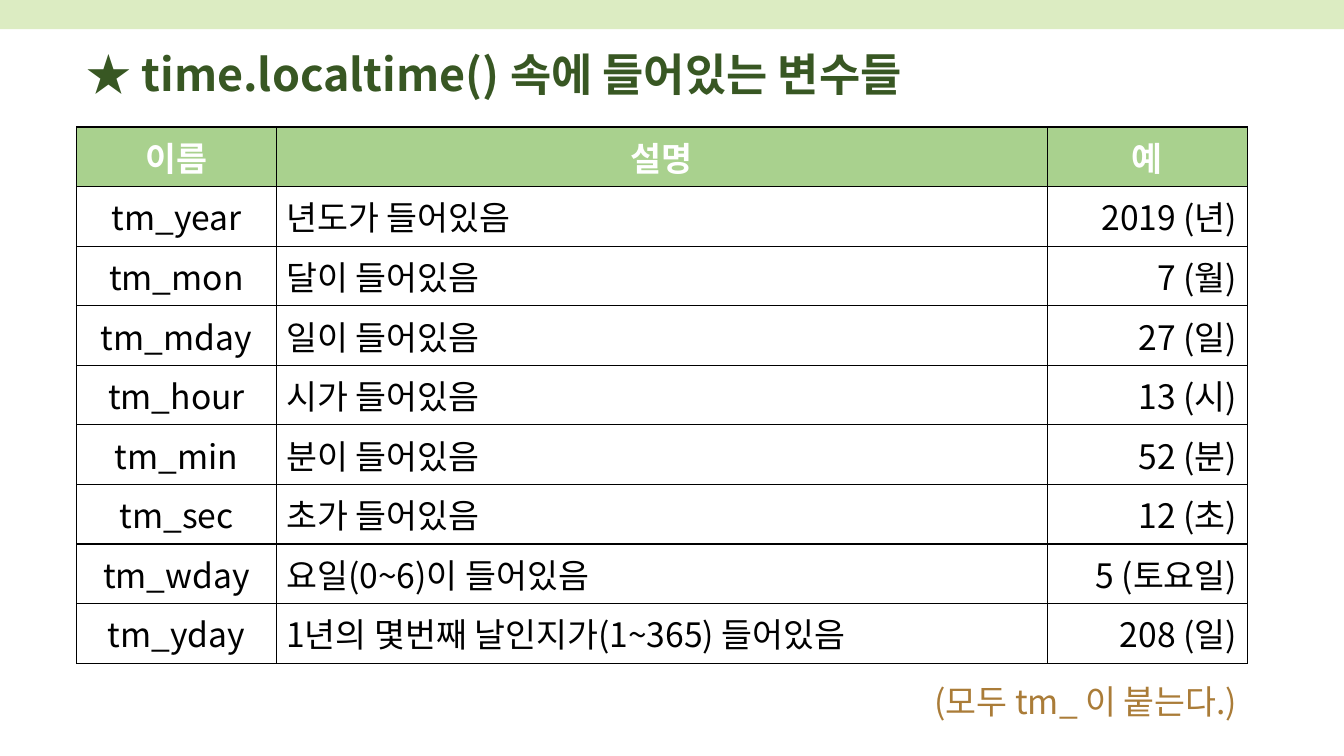
from lxml.etree import SubElement
from pptx import Presentation
from pptx.dml.color import RGBColor
from pptx.enum.shapes import MSO_SHAPE
from pptx.enum.text import MSO_ANCHOR, PP_ALIGN
from pptx.oxml.ns import qn
from pptx.util import Inches, Pt

FONT = "Noto Sans CJK KR"
HEADER = ("이름", "설명", "예")
FIELDS = (
    ("tm_year", "년도가 들어있음", "2019 (년)"),
    ("tm_mon", "달이 들어있음", "7 (월)"),
    ("tm_mday", "일이 들어있음", "27 (일)"),
    ("tm_hour", "시가 들어있음", "13 (시)"),
    ("tm_min", "분이 들어있음", "52 (분)"),
    ("tm_sec", "초가 들어있음", "12 (초)"),
    ("tm_wday", "요일(0~6)이 들어있음", "5 (토요일)"),
    ("tm_yday", "1년의 몇번째 날인지가(1~365) 들어있음", "208 (일)"),
)
COLUMN_WIDTHS = (1.98, 7.65, 1.98)
COLUMN_ALIGNMENTS = (PP_ALIGN.CENTER, PP_ALIGN.LEFT, PP_ALIGN.RIGHT)


def paint(target, color):
    """Apply a solid hex colour to a fill."""
    target.solid()
    target.fore_color.rgb = RGBColor.from_string(color)


def write(frame, text, size, color, alignment, bold=False):
    """Write one formatted run into the first paragraph of a text frame."""
    para = frame.paragraphs[0]
    para.alignment = alignment
    span = para.add_run()
    span.text = text
    span.font.size = Pt(size)
    span.font.bold = bold
    span.font.name = FONT
    paint(span.font.fill, color)
    SubElement(span.font._element, qn("a:ea"), typeface=FONT)


def add_border(cell):
    """Draw a thin black line on every side of a cell."""
    properties = cell._tc.get_or_add_tcPr()
    for side in ("lnL", "lnR", "lnT", "lnB"):
        line = SubElement(properties, qn(f"a:{side}"), w=str(Pt(1)))
        fill = SubElement(line, qn("a:solidFill"))
        SubElement(fill, qn("a:srgbClr"), val="000000")


def add_band(page, left, top, width, height):
    """Add the pale green band."""
    band = page.shapes.add_shape(
        MSO_SHAPE.RECTANGLE, Inches(left), Inches(top), Inches(width), Inches(height)
    )
    band.shadow.inherit = False
    paint(band.fill, "DCECC2")
    band.line.fill.background()


def add_title(page, left, top, width, height):
    """Place and fill the title placeholder."""
    title = page.shapes.title
    title.left, title.top = Inches(left), Inches(top)
    title.width, title.height = Inches(width), Inches(height)
    frame = title.text_frame
    frame.word_wrap = True
    frame.vertical_anchor = MSO_ANCHOR.MIDDLE
    text = "★ time.localtime() 속에 들어있는 변수들"
    write(frame, text, 32, "385723", PP_ALIGN.LEFT, True)


def add_field_table(page, left, top, width, height):
    """Add the table of time fields with equal rows."""
    rows = (HEADER, *FIELDS)
    table = page.shapes.add_table(
        len(rows), len(HEADER), Inches(left), Inches(top), Inches(width), Inches(height)
    ).table
    table.horz_banding = False
    for column, column_width in zip(table.columns, COLUMN_WIDTHS):
        column.width = Inches(column_width)
    for row_index, values in enumerate(rows):
        is_header = row_index == 0
        table.rows[row_index].height = Inches(height / len(rows))
        for column_index, value in enumerate(values):
            cell = table.cell(row_index, column_index)
            cell.vertical_anchor = MSO_ANCHOR.MIDDLE
            add_border(cell)
            paint(cell.fill, "A9D18E" if is_header else "FFFFFF")
            alignment = PP_ALIGN.CENTER if is_header else COLUMN_ALIGNMENTS[column_index]
            color = "FFFFFF" if is_header else "000000"
            write(cell.text_frame, value, 24, color, alignment, is_header)


def add_note(page, left, top, width, height):
    """Add the right-aligned remark."""
    box = page.shapes.add_textbox(
        Inches(left), Inches(top), Inches(width), Inches(height)
    )
    frame = box.text_frame
    frame.word_wrap = True
    frame.vertical_anchor = MSO_ANCHOR.MIDDLE
    write(frame, "(모두 tm_ 이 붙는다.)", 24, "AA7C38", PP_ALIGN.RIGHT)


def main():
    """Build and save the deck."""
    deck = Presentation()
    deck.slide_width, deck.slide_height = Inches(13.33), Inches(7.5)
    page = deck.slides.add_slide(deck.slide_layouts.get_by_name("Title Only"))
    add_band(page, 0, 0, 13.33, 0.29)
    add_title(page, 0.76, 0.41, 11.2, 0.64)
    add_field_table(page, 0.76, 1.26, sum(COLUMN_WIDTHS), 5.32)
    add_note(page, 0.76, 6.71, sum(COLUMN_WIDTHS), 0.5)
    deck.save("out.pptx")


if __name__ == "__main__":
    main()
